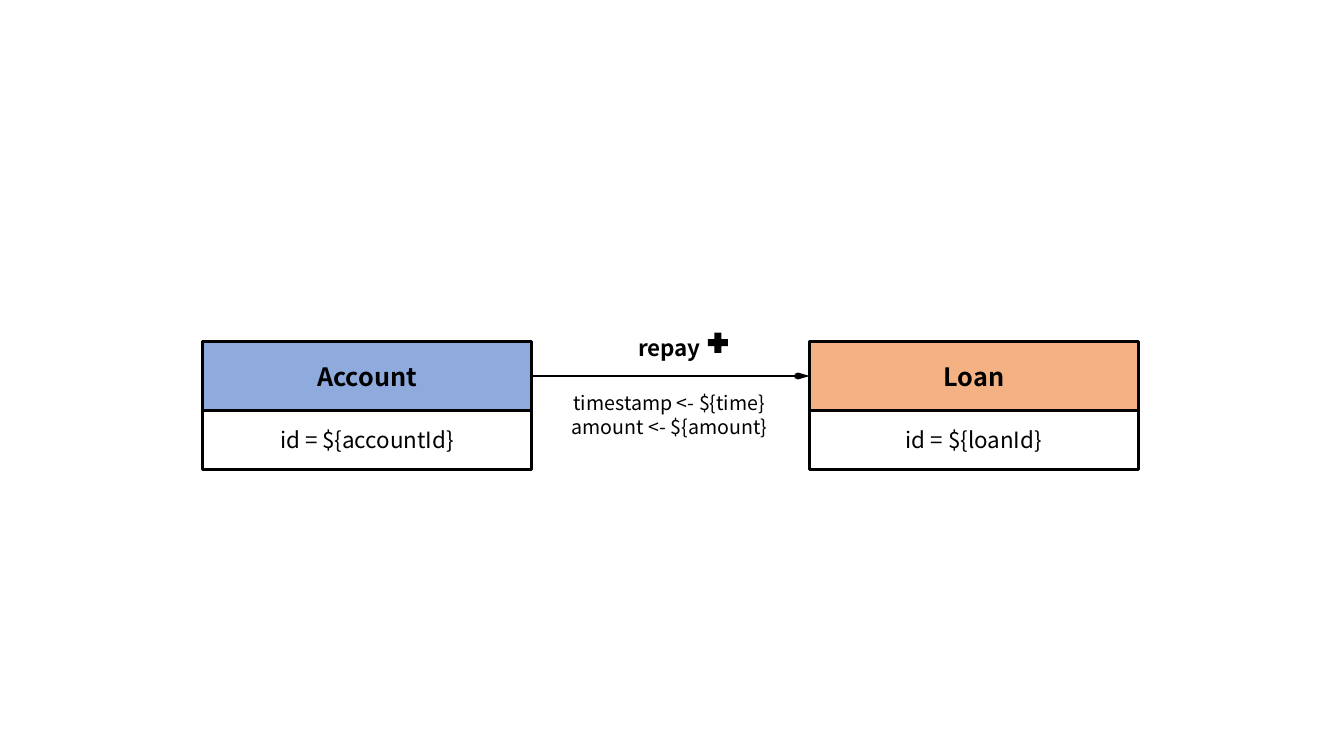
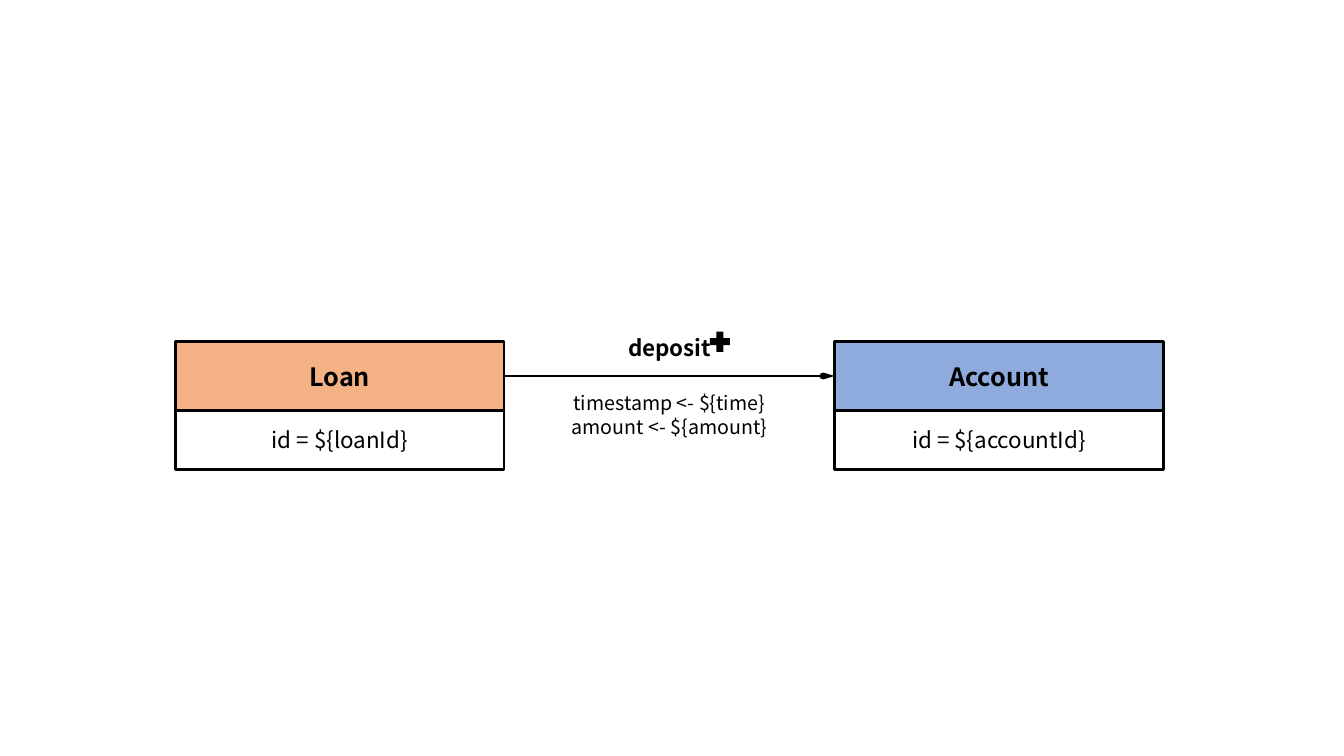
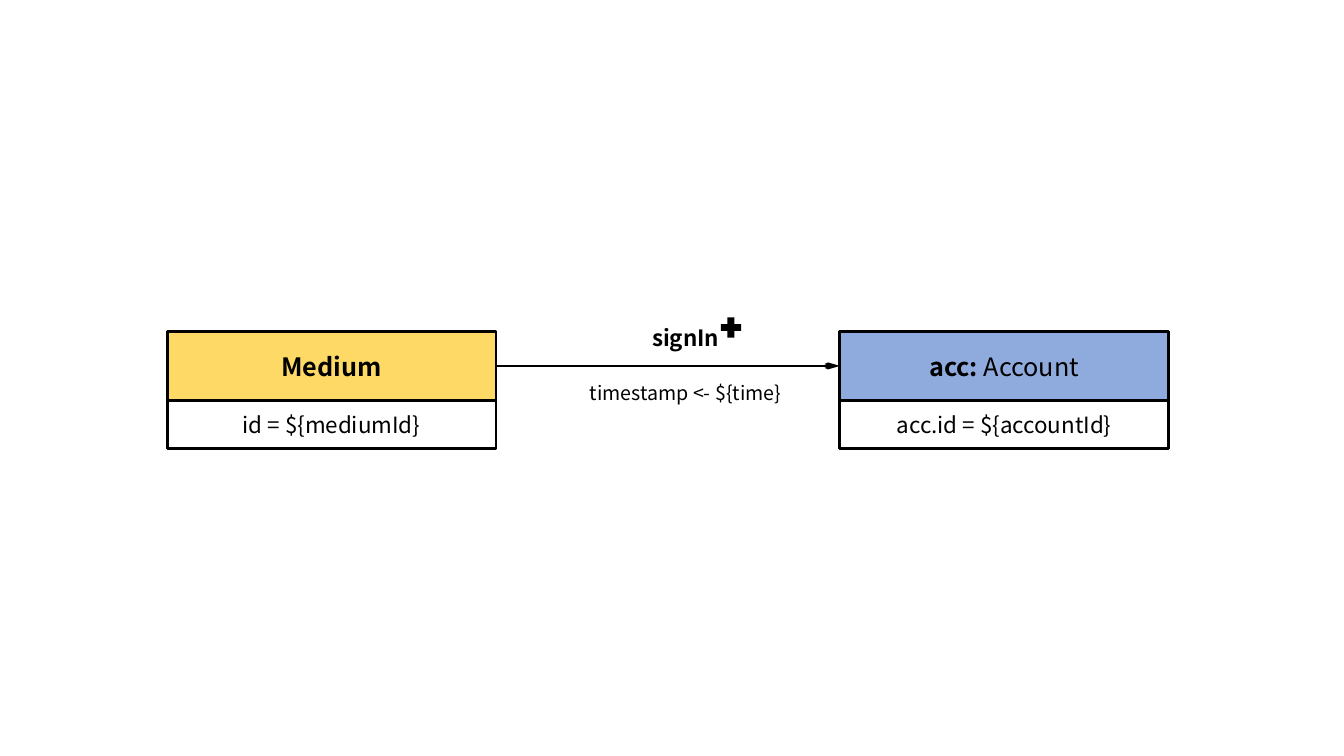
from lxml import etree
from pptx import Presentation
from pptx.dml.color import RGBColor
from pptx.enum.shapes import MSO_CONNECTOR, MSO_SHAPE
from pptx.enum.text import MSO_ANCHOR, MSO_AUTO_SIZE, PP_ALIGN
from pptx.oxml.ns import qn
from pptx.util import Emu, Pt

RECT, CROSS = MSO_SHAPE.RECTANGLE, MSO_SHAPE.CROSS
LINE = MSO_CONNECTOR.STRAIGHT
MIDDLE, CENTER = MSO_ANCHOR.MIDDLE, PP_ALIGN.CENTER
GROW = MSO_AUTO_SIZE.SHAPE_TO_FIT_TEXT

FONT = "Noto Sans CJK SC"
COLORS = {"ink": "000000", "blue": "8FAADC", "orange": "F4B183", "gold": "FFD966"}
LEFT, RIGHT = 1, 3
CARD_W, HEAD_H, PLUS = 326, 68, 20
LABEL_W, LABEL_H = 225, 37
FIELD_W, FIELD_H, FIELD_GAP = 251, 34, 23

# Runs are (text, bold); a card is (left, colour, title runs, condition)
SLIDES = [
    {"top": 339, "body": 59, "mid": 664,
     "source": (201, "blue", [("Account", True)], "id = ${accountId}"),
     "target": (803, "orange", [("Loan", True)], "id = ${loanId}"),
     "edge": "repay", "plus": (702, 330),
     "fields": ["timestamp <- ${time}", "amount <- ${amount}"]},
    {"top": 339, "body": 59, "mid": 664,
     "source": (174, "orange", [("Loan", True)], "id = ${loanId}"),
     "target": (828, "blue", [("Account", True)], "id = ${accountId}"),
     "edge": "deposit", "plus": (704, 329),
     "fields": ["timestamp <- ${time}", "amount <- ${amount}"]},
    {"top": 329, "body": 48, "mid": 680,
     "source": (166, "gold", [("Medium", True)], "id = ${mediumId}"),
     "target": (833, "blue", [("acc: ", True), ("Account", False)],
                "acc.id = ${accountId}"),
     "edge": "signIn", "plus": (715, 315),
     "fields": ["timestamp <- ${time}"]},
]


def px(n):
    return Emu(int(n * 9144))


def color(name):
    return RGBColor.from_string(COLORS[name])


def write(frame, lines, size):
    """Fill a text frame with centred lines, each a list of runs."""
    frame.word_wrap = True
    for i, runs in enumerate(lines):
        para = frame.add_paragraph() if i else frame.paragraphs[0]
        para.alignment = CENTER
        for text, bold in runs:
            run = para.add_run()
            run.text = text
            font = run.font
            font.name, font.size, font.bold = FONT, Pt(size), bold
            font.color.rgb = color("ink")


def add_box(slide, kind, x, y, w, h, fill=None, line=0):
    box = slide.shapes.add_shape(kind, px(x), px(y), px(w), px(h))
    box.shadow.inherit = False
    if fill:
        box.fill.solid()
        box.fill.fore_color.rgb = color(fill)
    else:
        box.fill.background()
    if line:
        box.line.color.rgb = color("ink")
        box.line.width = Pt(line)
    else:
        box.line.fill.background()
    return box


def add_card(slide, card, top, body):
    """Draw a titled card and return its header."""
    x, fill, title, rule = card
    head = add_box(slide, RECT, x, top, CARD_W, HEAD_H, fill, 2)
    cell = add_box(slide, RECT, x, top + HEAD_H, CARD_W, body, None, 2)
    for box, runs, size in ((head, title, 18), (cell, [(rule, False)], 16)):
        box.text_frame.vertical_anchor = MIDDLE
        write(box.text_frame, [runs], size)
    return head


def add_arrow(slide, source, target):
    link = slide.shapes.add_connector(LINE, 0, 0, 0, 0)
    link.begin_connect(source, RIGHT)
    link.end_connect(target, LEFT)
    link.line.color.rgb = color("ink")
    link.line.width = Pt(1.5)
    etree.SubElement(link.line._get_or_add_ln(), qn("a:tailEnd"),
                     type="arrow", w="sm", len="lg")
    etree.SubElement(link._element.spPr, qn("a:effectLst"))


def add_text(slide, mid, y, w, h, lines, size):
    """Place a text box centred on mid."""
    box = slide.shapes.add_textbox(px(mid - w / 2), px(y), px(w), px(h))
    write(box.text_frame, lines, size)
    box.text_frame.auto_size = GROW


def build(slide, data):
    top, mid, fields = data["top"], data["mid"], data["fields"]
    source, target = (add_card(slide, data[end], top, data["body"])
                      for end in ("source", "target"))
    add_arrow(slide, source, target)
    add_text(slide, mid, top - 12, LABEL_W, LABEL_H, [[(data["edge"], True)]], 16)
    add_text(slide, mid, top + 44, FIELD_W, FIELD_H + FIELD_GAP * (len(fields) - 1),
             [[(field, False)] for field in fields], 14)
    plus = add_box(slide, CROSS, *data["plus"], PLUS, PLUS, "ink")
    plus.adjustments[0] = 0.33


def main():
    deck = Presentation()
    deck.slide_width, deck.slide_height = px(1333), px(750)
    for data in SLIDES:
        build(deck.slides.add_slide(deck.slide_layouts[6]), data)
    deck.save("out.pptx")


if __name__ == "__main__":
    main()
